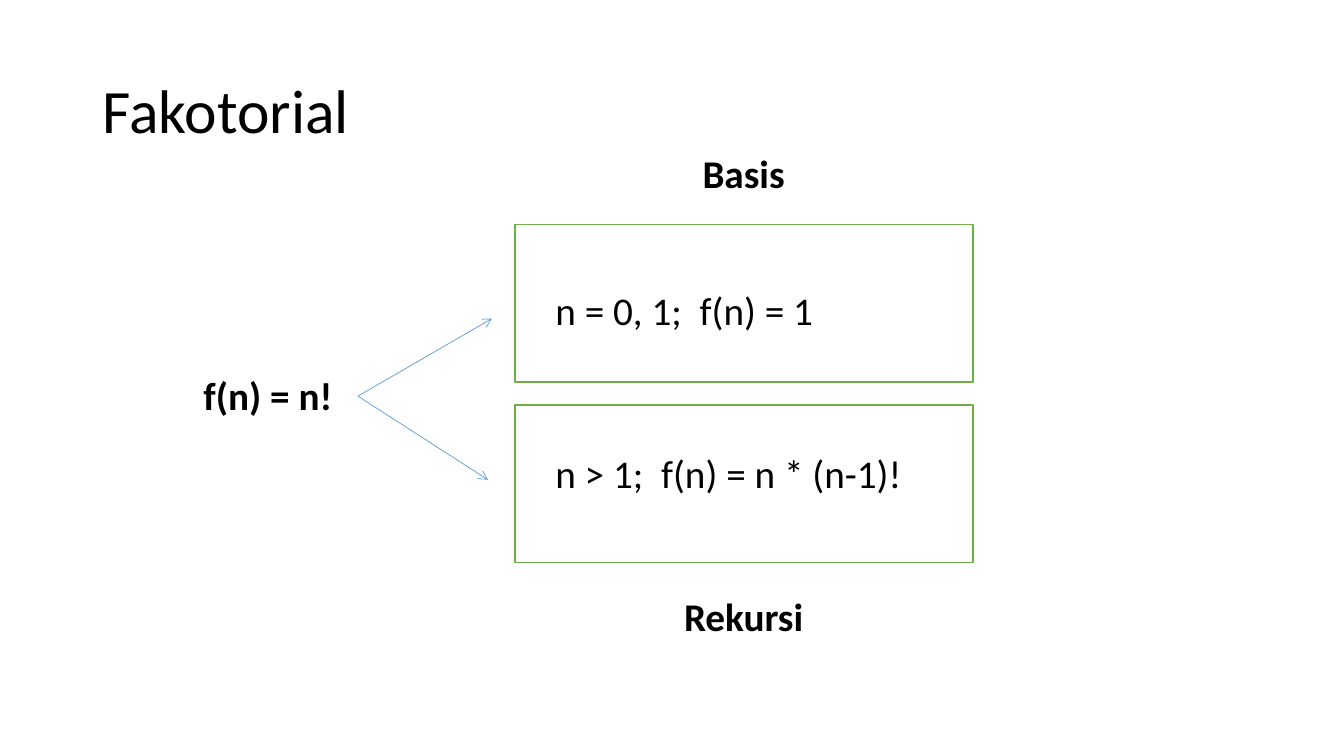
from dataclasses import dataclass

import pptx
import pptx.dml.color
import pptx.enum.shapes
import pptx.enum.text
import pptx.oxml
import pptx.slide
import pptx.util
from pptx.util import Inches

BLACK, WHITE, GREEN, BLUE = "000000", "FFFFFF", "70AD47", "5B9BD5"
CASE_LEFT, CASE_WIDTH, CASE_HEIGHT = 5.11, 4.54, 1.56
HEADING_LEFT, HEADING_WIDTH = 6.28, 2.19
FORMULA_LEFT = 5.41
LINE_HEIGHT = 0.57
FORK = (3.55, 3.93)
ALIGN = pptx.enum.text.PP_ALIGN
ANCHOR = pptx.enum.text.MSO_ANCHOR


@dataclass(frozen=True)
class Label:
    text: str
    left: float
    top: float
    width: float
    height: float = LINE_HEIGHT
    size: int = 28
    bold: bool = False
    align: ALIGN = ALIGN.LEFT
    anchor: ANCHOR = ANCHOR.TOP
    spacing: float = 1.0


@dataclass(frozen=True)
class Case:
    heading: str
    heading_top: float
    frame_top: float
    formula: str
    formula_top: float
    formula_width: float
    arrow_tip: tuple[float, float]


TITLE = Label("Fakotorial", 0.92, 0.4, 11.5, 1.45, size=44, anchor=ANCHOR.MIDDLE, spacing=0.9)
FUNCTION = Label("f(n) = n!", 1.92, 3.69, 1.6, bold=True, spacing=0.9)
CASES = [
    Case("Basis", 1.43, 2.23, "n = 0, 1;  f(n) = 1", 2.79, 3.62, (4.88, 3.16)),
    Case("Rekursi", 5.83, 4.02, "n > 1;  f(n) = n * (n-1)!", 4.41, 4.74, (4.84, 4.76)),
]


def rgb(value: str) -> pptx.dml.color.RGBColor:
    return pptx.dml.color.RGBColor.from_string(value)


def apply_format(target: object, values: dict[str, object]) -> None:
    for attribute, value in values.items():
        setattr(target, attribute, value)


def draw_label(slide: pptx.slide.Slide, label: Label) -> None:
    box = slide.shapes.add_textbox(
        Inches(label.left), Inches(label.top), Inches(label.width), Inches(label.height)
    )
    apply_format(box.text_frame, {"word_wrap": True, "vertical_anchor": label.anchor})
    paragraph = box.text_frame.paragraphs[0]
    apply_format(paragraph, {"alignment": label.align, "line_spacing": label.spacing})
    run = paragraph.add_run()
    run.text = label.text
    apply_format(
        run.font, {"name": "Calibri", "size": pptx.util.Pt(label.size), "bold": label.bold}
    )
    run.font.color.rgb = rgb(BLACK)


def draw_frame(slide: pptx.slide.Slide, top: float) -> None:
    frame = slide.shapes.add_shape(
        pptx.enum.shapes.MSO_SHAPE.RECTANGLE,
        Inches(CASE_LEFT), Inches(top), Inches(CASE_WIDTH), Inches(CASE_HEIGHT),
    )
    frame.shadow.inherit = False
    frame.fill.solid()
    frame.fill.fore_color.rgb = rgb(WHITE)
    frame.line.color.rgb = rgb(GREEN)
    frame.line.width = pptx.util.Pt(1)


def draw_arrow(slide: pptx.slide.Slide, tip: tuple[float, float]) -> None:
    arrow = slide.shapes.add_connector(
        pptx.enum.shapes.MSO_CONNECTOR.STRAIGHT, *(Inches(value) for value in FORK + tip)
    )
    arrow.line.color.rgb = rgb(BLUE)
    arrow.line.width = pptx.util.Pt(0.5)
    properties = arrow.line._get_or_add_ln()
    namespace = pptx.oxml.ns.nsdecls("a")
    properties.append(pptx.oxml.parse_xml(f'<a:tailEnd {namespace} type="arrow"/>'))
    properties.getparent().append(pptx.oxml.parse_xml(f"<a:effectLst {namespace}/>"))


def draw_case(slide: pptx.slide.Slide, case: Case) -> None:
    draw_frame(slide, case.frame_top)
    draw_arrow(slide, case.arrow_tip)
    draw_label(slide, Label(case.formula, FORMULA_LEFT, case.formula_top, case.formula_width))
    draw_label(
        slide,
        Label(case.heading, HEADING_LEFT, case.heading_top, HEADING_WIDTH,
              bold=True, align=ALIGN.CENTER),
    )


def main() -> None:
    presentation = pptx.Presentation()
    apply_format(presentation, {"slide_width": Inches(13.33), "slide_height": Inches(7.5)})
    slide = presentation.slides.add_slide(presentation.slide_layouts[6])
    draw_label(slide, TITLE)
    draw_label(slide, FUNCTION)
    for case in CASES:
        draw_case(slide, case)
    presentation.save("out.pptx")


if __name__ == "__main__":
    main()
